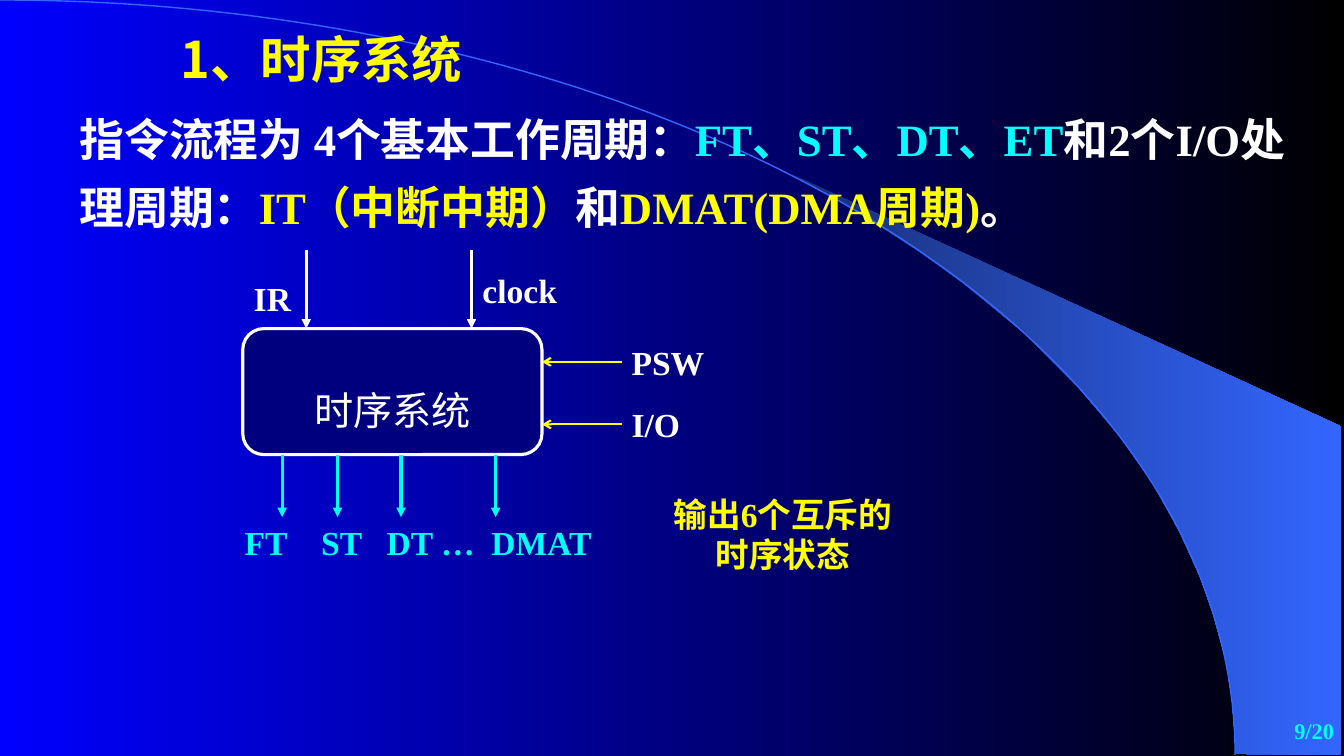
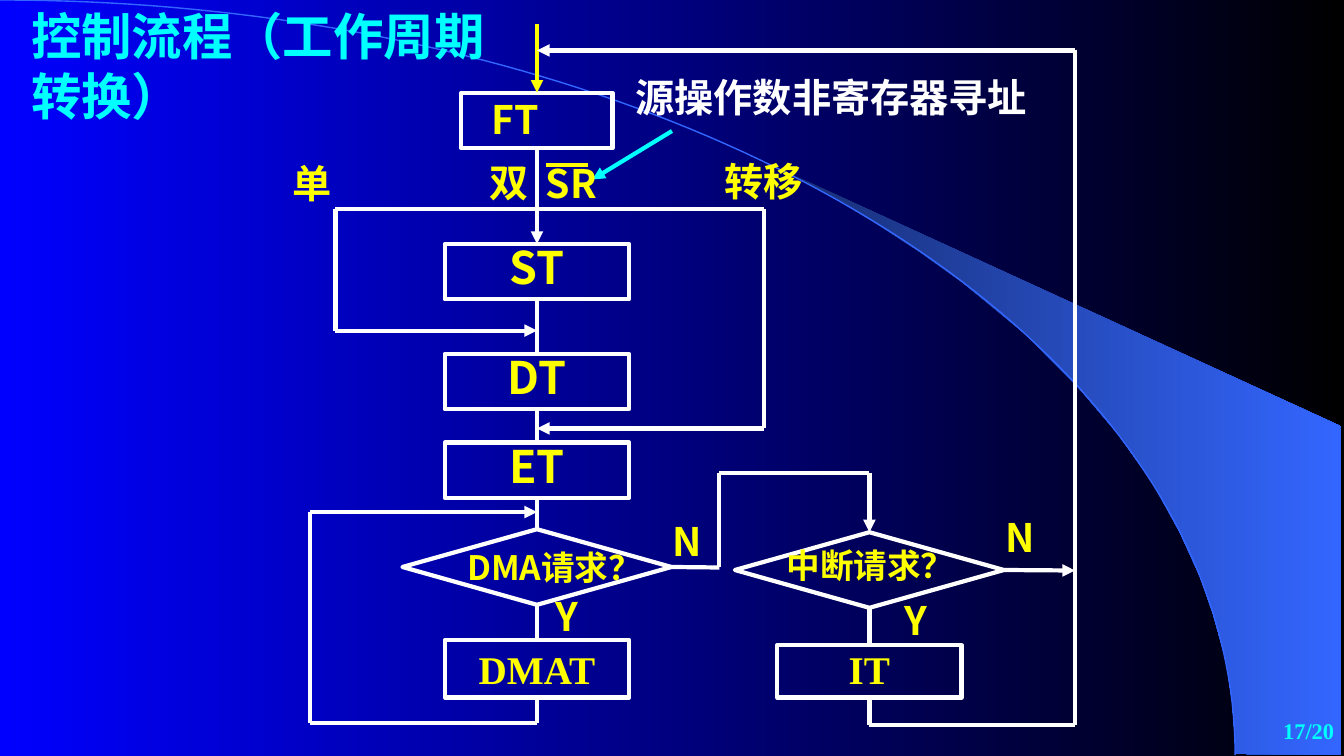
from itertools import pairwise
from math import cos, pi, sin

from lxml.etree import SubElement
from pptx import Presentation
from pptx.dml.color import RGBColor as Rgb
from pptx.enum.shapes import MSO_CONNECTOR as Link, MSO_SHAPE as Form
from pptx.enum.text import MSO_ANCHOR as Anchor, MSO_AUTO_SIZE as Auto, PP_ALIGN as Align
from pptx.oxml.ns import qn
from pptx.util import Inches, Pt

WHITE = Rgb(0xFF, 0xFF, 0xFF)
BLACK = Rgb(0x00, 0x00, 0x00)
YELLOW = Rgb(0xFF, 0xFF, 0x00)
CYAN = Rgb(0x00, 0xFF, 0xFF)
BLUE = Rgb(0x00, 0x00, 0xFF)
NAVY = Rgb(0x00, 0x00, 0x7F)
DUSK = Rgb(0x18, 0x2F, 0x76)
SKY = Rgb(0x33, 0x66, 0xFF)
SANS = "Noto Sans CJK SC"
SERIF = "Times New Roman"


def write(shape, paras, size, face=SANS, bold=True, tabs=(), frame=None, para=None):
    """Fill a shape with paragraphs, each a list of (text, colour) runs."""
    body = shape.text_frame
    look = {"word_wrap": True, "auto_size": Auto.SHAPE_TO_FIT_TEXT,
            "vertical_anchor": Anchor.TOP} | (frame or {})
    for key, val in look.items():
        setattr(body, key, val)
    for i, runs in enumerate(paras):
        p = body.paragraphs[0] if i == 0 else body.add_paragraph()
        for key, val in ({"alignment": Align.LEFT} | (para or {})).items():
            setattr(p, key, val)
        if tabs:
            stops = SubElement(p._p.get_or_add_pPr(), qn("a:tabLst"))
            for pos in tabs:
                SubElement(stops, qn("a:tab"), pos=str(Inches(pos)), algn="l")
        for words, ink in runs:
            run = p.add_run()
            run.text = words
            for key, val in {"size": Pt(size), "bold": bold, "name": face}.items():
                setattr(run.font, key, val)
            run.font.color.rgb = ink
            SubElement(run._r.get_or_add_rPr(), qn("a:ea"), typeface=SANS)


def link(page, start, end, ink=WHITE, width=3, tip=None):
    """Join two ends, each a point (x, y) or a pair (shape, side)."""
    fixed = [not isinstance(at[0], (int, float)) for at in (start, end)]
    spots = [(0, 0) if glue else at for glue, at in zip(fixed, (start, end))]
    wire = page.shapes.add_connector(
        Link.STRAIGHT, *(Inches(n) for spot in spots for n in spot))
    if fixed[0]:
        wire.begin_connect(*start)
    if fixed[1]:
        wire.end_connect(*end)
    wire.line.color.rgb = ink
    wire.line.width = Pt(width)
    if tip:
        SubElement(wire.line._get_or_add_ln(), qn("a:tailEnd"), type=tip)
    SubElement(wire._element.spPr, qn("a:effectLst"))


deck = Presentation()
deck.slide_width, deck.slide_height = Inches(13.34), Inches(7.5)

# Shared backdrop and page number
SWOOSH = [(12.27, 7.48), (13.31, 7.49), (13.31, 4.23), (7.86, 1.73), (8.32, 1.99),
          (8.7, 2.22), (9.13, 2.5), (9.55, 2.8), (10.16, 3.3), (10.7, 3.84),
          (11.1, 4.31), (11.44, 4.79), (11.71, 5.28), (11.91, 5.72), (12.04, 6.09),
          (12.17, 6.56), (12.23, 6.96), (12.27, 7.48)]
STEPS = 90
ARC = [(12.26 * sin(pi / 2 * i / STEPS), 7.49 * (1 - cos(pi / 2 * i / STEPS)))
       for i in range(STEPS + 1)]
pages = []
for num in ("9/20", "17/20"):
    page = deck.slides.add_slide(deck.slide_layouts[6])
    pages.append(page)
    forms = []
    for dots, close in ((SWOOSH, True), (ARC, False)):
        dots = [(Inches(x), Inches(y)) for x, y in dots]
        pen = page.shapes.build_freeform(*dots[0])
        pen.add_line_segments(dots[1:], close=close)
        form = pen.convert_to_shape()
        form.shadow.inherit = False
        forms.append(form)
    swoosh, arc = forms
    swoosh.line.fill.background()
    arc.fill.background()
    arc.line.color.rgb = SKY
    arc.line.width = Pt(1)
    for fill, tones in ((page.background.fill, (BLUE, BLACK)), (swoosh.fill, (DUSK, SKY))):
        fill.gradient()
        fill.gradient_angle = 0
        for stop, tone in zip(fill.gradient_stops, tones):
            stop.color.rgb = tone
    box = page.shapes.add_textbox(Inches(10.56), Inches(7), Inches(2.78), Inches(0.5))
    write(box, [[(num, CYAN)]], 16, SERIF, para={"alignment": Align.RIGHT},
          frame={"auto_size": Auto.NONE, "vertical_anchor": Anchor.MIDDLE})
timing, flow = pages

# Timing system: block with its inputs and outputs
block = timing.shapes.add_shape(
    Form.ROUNDED_RECTANGLE, Inches(2.41), Inches(3.26), Inches(2.97), Inches(1.25))
block.shadow.inherit = False
block.fill.solid()
block.fill.fore_color.rgb = NAVY
block.line.color.rgb = WHITE
block.line.width = Pt(2.25)
write(block, [[("时序系统", WHITE)]], 28, bold=False,
      frame={"word_wrap": False, "auto_size": Auto.NONE},
      para={"alignment": Align.CENTER, "line_spacing": 2.0})

for x in (3.04, 4.68):
    link(timing, (x, 2.48), (x, 3.26), WHITE, 2.25, "triangle")
for x in (2.8, 3.35, 3.98, 4.92):
    link(timing, (x, 4.51), (x, 5.13), CYAN, 2.25, "triangle")
for y in (3.59, 4.21):
    link(timing, (6.17, y), (5.38, y), YELLOW, 1.5, "arrow")

intro = [("指令流程为 4个基本工作周期：", WHITE), ("FT、ST、DT、ET", CYAN),
         ("和2个I/O处理周期：", WHITE), ("IT（中断中期）", YELLOW), ("和", WHITE),
         ("DMAT(DMA周期)", YELLOW), ("。", WHITE)]
free = {"frame": {"word_wrap": False}}
mid = {"para": {"alignment": Align.CENTER}}
notes = [
    ((1.58, 0.23, 3.42, 0.7), [[(" 1、时序系统", YELLOW)]], 36, SANS, free),
    ((0.69, 0.93, 12.28, 1.44), [intro], 32, SERIF, {"para": {"line_spacing": 1.25}}),
    ((2.42, 2.71, 0.57, 0.5), [[("IR", WHITE)]], 24, SERIF, free),
    ((4.69, 2.63, 0.94, 0.5), [[("clock", WHITE)]], 24, SERIF, free),
    ((6.17, 3.34, 0.92, 0.5), [[("PSW", WHITE)]], 24, SERIF, free),
    ((6.17, 3.96, 0.68, 0.5), [[("I/O", WHITE)]], 24, SERIF, free),
    ((2.33, 5.13, 3.68, 0.5), [[("FT\tST\tDT …\tDMAT", CYAN)]], 24, SERIF,
     {"tabs": (0.76, 1.41, 2.45)}),
    ((6.51, 4.85, 2.52, 0.9), [[("输出6个互斥的", YELLOW)], [("时序状态", YELLOW)]],
     24, SERIF, free | mid),
]
for spot, paras, size, face, look in notes:
    box = timing.shapes.add_textbox(*map(Inches, spot))
    write(box, paras, size, face, **look)

# Control flow: boxes centred on two columns
MAIN, SIDE, EDGE = 5.33, 8.63, 10.67
nodes = {}
for name, x, y, w, h, size, face, lead in (
        ("FT", MAIN, 0.92, 1.5, 0.55, 28, SANS, Pt(32)),
        ("ST", MAIN, 2.42, 1.83, 0.55, 32, SANS, Pt(32)),
        ("DT", MAIN, 3.51, 1.83, 0.55, 32, SANS, Pt(32)),
        ("ET", MAIN, 4.39, 1.83, 0.55, 32, SANS, Pt(32)),
        ("DMAT", MAIN, 6.35, 1.83, 0.57, 28, SERIF, None),
        ("IT", SIDE, 6.4, 1.83, 0.52, 28, SERIF, Pt(30)),
        ("DMA?", MAIN, 5.25, 2.67, 0.75, None, None, None),
        ("IRQ?", SIDE, 5.28, 2.67, 0.75, None, None, None)):
    kind = Form.RECTANGLE if size else Form.FLOWCHART_DECISION
    node = flow.shapes.add_shape(
        kind, Inches(x - w / 2), Inches(y), Inches(w), Inches(h))
    node.shadow.inherit = False
    node.fill.background()
    node.line.color.rgb = WHITE
    node.line.width = Pt(3)
    nodes[name] = node
    if size:
        first = name == "FT"
        write(node, [[(name, YELLOW)]], size, face,
              frame={"margin_left": Inches(0.3 if first else 0.1)},
              para={"alignment": Align.LEFT if first else Align.CENTER,
                    "line_spacing": lead})

TOP, BOTTOM, RIGHT = 0, 2, 3
link(flow, (MAIN, 0.24), (nodes["FT"], TOP), YELLOW, tip="triangle")
for a, b, tip in (("FT", "ST", "triangle"), ("ST", "DT", None), ("DT", "ET", None),
                  ("ET", "DMA?", None), ("DMA?", "DMAT", None), ("IRQ?", "IT", None)):
    link(flow, (nodes[a], BOTTOM), (nodes[b], TOP), tip=tip)

routes = [
    [(MAIN, 2.07), (3.33, 2.07), (3.33, 3.28), (MAIN, 3.28)],
    [(MAIN, 2.07), (7.58, 2.07), (7.58, 4.25), (MAIN, 4.25)],
    [(nodes["DMAT"], BOTTOM), (MAIN, 7.17), (3.08, 7.17), (3.08, 5.08), (MAIN, 5.08)],
    [(nodes["IT"], BOTTOM), (SIDE, 7.19), (EDGE, 7.19), (EDGE, 0.5), (MAIN, 0.5)],
    [(nodes["DMA?"], RIGHT), (7.14, 5.63), (7.14, 4.69), (SIDE, 4.69),
     (nodes["IRQ?"], TOP)],
    [(nodes["IRQ?"], RIGHT), (EDGE, 5.66)],
]
for route in routes:
    for a, b in pairwise(route):
        link(flow, a, b, tip="triangle" if b is route[-1] else None)
link(flow, (5.42, 1.64), (5.84, 1.64), YELLOW)
link(flow, (6.67, 1.3), (5.88, 1.78), CYAN, tip="triangle")

for words, spot, size, face, ink, look in (
        ("控制流程（工作周期转换）", (0.21, 0, 5.01, 1.3), 36, SANS, CYAN, {}),
        ("源操作数非寄存器寻址", (6.21, 0.68, 4.08, 0.57), 28, SERIF, WHITE, free),
        ("单", (2.81, 1.53, 1, 0.57), 28, SANS, YELLOW, {}),
        ("双", (4.76, 1.52, 1, 0.57), 28, SANS, YELLOW, {}),
        ("SR", (5.32, 1.53, 1, 0.57), 28, SANS, YELLOW, {}),
        ("转移", (7.08, 1.51, 1, 0.57), 28, SANS, YELLOW, mid),
        ("DMA请求？", (4.42, 5.38, 2.17, 0.5), 24, SANS, YELLOW, mid),
        ("中断请求？", (7.71, 5.36, 2.17, 0.5), 24, SANS, YELLOW, {}),
        ("N", (6.58, 5.08, 0.75, 0.57), 28, SANS, YELLOW, {}),
        ("N", (9.88, 5.04, 0.75, 0.57), 28, SANS, YELLOW, {}),
        ("Y", (5.42, 5.83, 0.75, 0.57), 28, SANS, YELLOW, {}),
        ("Y", (8.88, 5.87, 0.75, 0.57), 28, SANS, YELLOW, {})):
    box = flow.shapes.add_textbox(*map(Inches, spot))
    write(box, [[(words, ink)]], size, face, **look)

deck.save("out.pptx")
